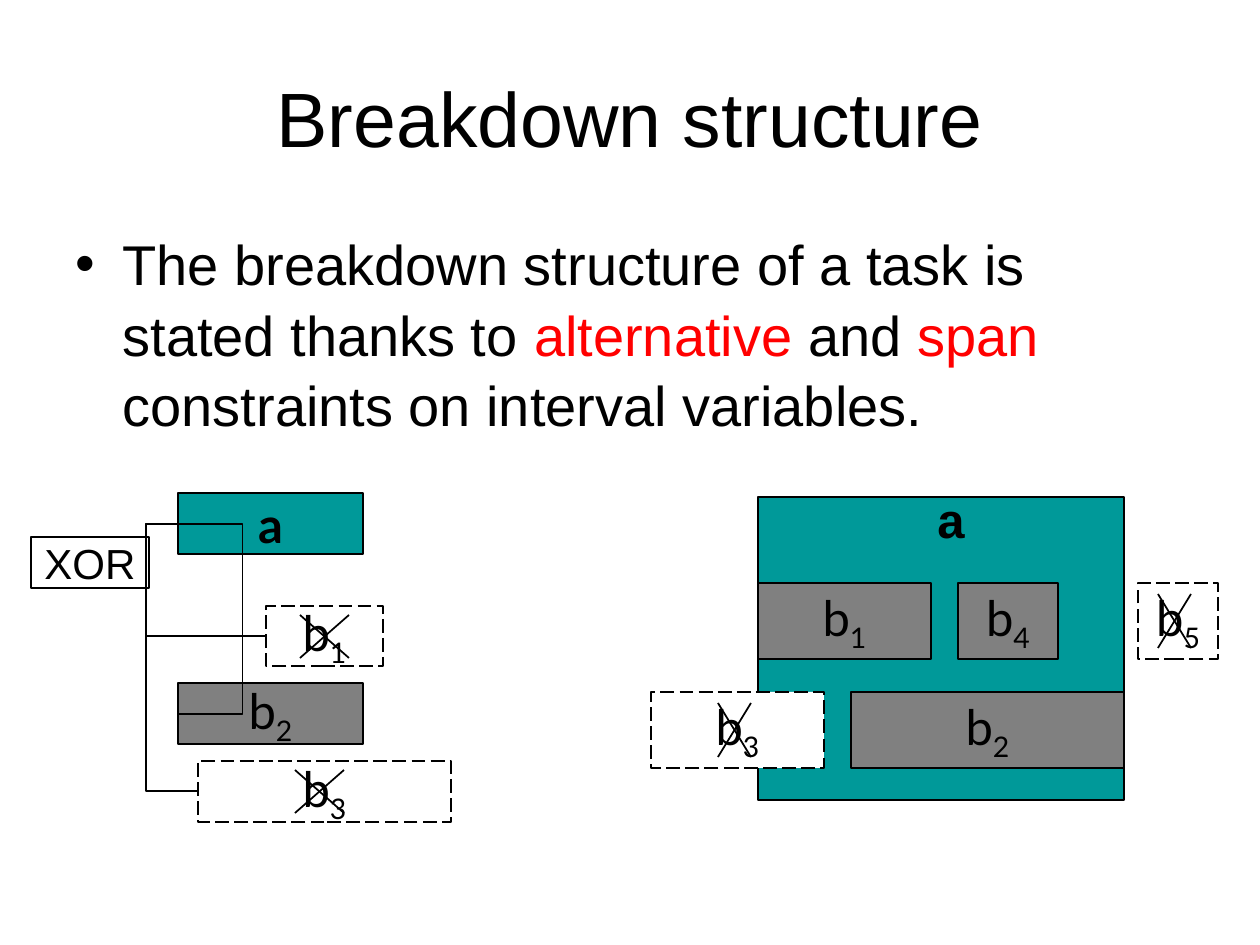
from dataclasses import dataclass

from lxml import etree
from pptx import Presentation, util as u
from pptx.dml.color import RGBColor
from pptx.enum import dml, shapes, text
from pptx.oxml.ns import qn


@dataclass(frozen=True)
class Theme:
    """Colours, fonts and type sizes of the slide."""
    ink: str = "000000"
    accent: str = "FF0000"
    task: str = "009999"
    chosen: str = "808080"
    absent: str = "FFFFFF"
    sans: str = "Arial"
    label: str = "Lato"
    title_size: int = 44
    body_size: int = 32
    label_size: int = 28
    xor_size: int = 24
    line_width: int = 1


THEME = Theme()


def px(length):
    """Turn pixels into EMU at 126 pixels to the inch."""
    return u.Inches(length / 126)


def add_run(paragraph, words, size, font=THEME.sans, color=THEME.ink, bold=False, subscript=False):
    """Append one formatted run."""
    run = paragraph.add_run()
    run.text = words
    run.font.size = u.Pt(size)
    run.font.name = font
    run.font.bold = bold
    run.font.color.rgb = RGBColor.from_string(color)
    if subscript:
        run._r.get_or_add_rPr().set("baseline", "-25000")


def place(shape, left, top, width, height):
    """Move and size a placeholder."""
    shape.left, shape.top, shape.width, shape.height = map(px, (left, top, width, height))


def fill_title(title):
    """Write the slide title."""
    place(title, 63, 38, 1134, 157)
    frame = title.text_frame
    frame.vertical_anchor = text.MSO_ANCHOR.MIDDLE
    frame.paragraphs[0].alignment = text.PP_ALIGN.CENTER
    add_run(frame.paragraphs[0], "Breakdown structure", THEME.title_size)


def fill_body(body):
    """Write the bulleted statement with its highlighted constraints."""
    place(body, 63, 220, 1134, 624)
    body.text_frame.auto_size = text.MSO_AUTO_SIZE.NONE
    statement = body.text_frame.paragraphs[0]
    props = statement._p.get_or_add_pPr()
    props.set("marL", str(px(47)))
    props.set("indent", str(-px(47)))
    etree.SubElement(props, qn("a:buFont")).set("typeface", THEME.sans)
    etree.SubElement(props, qn("a:buChar")).set("char", "•")
    statement.space_before = u.Pt(0)
    statement.line_spacing = 1.05
    for words, color in (
        ("The breakdown structure of a task is stated thanks to ", THEME.ink),
        ("alternative", THEME.accent),
        (" and ", THEME.ink),
        ("span", THEME.accent),
        (" constraints on interval variables.", THEME.ink),
    ):
        add_run(statement, words, THEME.body_size, color=color)


def draw_line(line):
    """Give an outline or connector the common ink and width."""
    line.color.rgb = RGBColor.from_string(THEME.ink)
    line.width = u.Pt(THEME.line_width)


def add_box(diagram, bounds, fill):
    """Add an outlined rectangle and return it."""
    box = diagram.shapes.add_shape(shapes.MSO_SHAPE.RECTANGLE, *map(px, bounds))
    box.shadow.inherit = False
    box.fill.solid()
    box.fill.fore_color.rgb = RGBColor.from_string(fill)
    draw_line(box.line)
    return box


def centred_paragraph(box):
    """Return the box's first paragraph, centred both ways."""
    frame = box.text_frame
    frame.word_wrap = False
    frame.vertical_anchor = text.MSO_ANCHOR.MIDDLE
    frame.paragraphs[0].alignment = text.PP_ALIGN.CENTER
    return frame.paragraphs[0]


def add_interval(diagram, index, bounds, fill):
    """Add an interval b with its index, dashed when absent."""
    interval = add_box(diagram, bounds, fill)
    if fill == THEME.absent:
        interval.line.dash_style = dml.MSO_LINE.LONG_DASH
    name = centred_paragraph(interval)
    add_run(name, "b", THEME.label_size, THEME.label)
    add_run(name, index, THEME.label_size, THEME.label, subscript=True)


def add_link(diagram, kind, start, end):
    """Add a plain connector without shadow."""
    link = diagram.shapes.add_connector(kind, *map(px, (*start, *end)))
    draw_line(link.line)
    etree.SubElement(link._element.spPr, qn("a:effectLst"))
    return link


def add_elbow(diagram, start, end, spine):
    """Add a bent connector whose upright part stands at x = spine."""
    elbow = add_link(diagram, shapes.MSO_CONNECTOR.ELBOW, start, end)
    ratio = round((spine - start[0]) / (end[0] - start[0]) * 100000)
    guides = elbow._element.spPr.find(qn("a:prstGeom")).get_or_add_avLst()
    guide = etree.SubElement(guides, qn("a:gd"))
    guide.set("name", "adj1")
    guide.set("fmla", f"val {ratio}")


def add_cross(diagram, left, top, width, height):
    """Cross out an absent interval."""
    right, bottom = left + width, top + height
    for start, end in (((left, top), (right, bottom)), ((right, top), (left, bottom))):
        add_link(diagram, shapes.MSO_CONNECTOR.STRAIGHT, start, end)


def add_alternative(slide):
    """Draw task a as an exclusive choice between intervals."""
    diagram = slide.shapes.add_group_shape()
    add_interval(diagram, "2", (178, 683, 185, 61), THEME.chosen)
    add_interval(diagram, "3", (198, 761, 253, 61), THEME.absent)
    add_cross(diagram, 295, 770, 49, 43)
    task = add_box(diagram, (178, 493, 185, 61), THEME.task)
    add_run(centred_paragraph(task), "a", THEME.label_size, THEME.label, bold=True)
    xor = add_box(diagram, (31, 537, 118, 51), THEME.absent)
    add_run(centred_paragraph(xor), "XOR", THEME.xor_size)
    for end, spine in (((266, 636), 146), ((179, 714), 243), ((198, 791), 146)):
        add_elbow(diagram, (178, 524), end, spine)
    add_interval(diagram, "1", (266, 606, 117, 60), THEME.absent)
    add_cross(diagram, 300, 615, 49, 43)


def add_span(slide):
    """Draw task a spanning its present intervals."""
    diagram = slide.shapes.add_group_shape()
    add_box(diagram, (758, 497, 366, 303), THEME.task)
    upper, lower, height = 583, 692, 76
    for index, left, top, width, fill in (
        ("1", 758, upper, 173, THEME.chosen),
        ("4", 958, upper, 100, THEME.chosen),
        ("3", 651, lower, 173, THEME.absent),
        ("5", 1138, upper, 80, THEME.absent),
        ("2", 851, lower, 273, THEME.chosen),
    ):
        add_interval(diagram, index, (left, top, width, height), fill)
    task = diagram.shapes.add_textbox(*map(px, (925, 483, 34, 72)))
    task.text_frame.word_wrap = True
    name = task.text_frame.paragraphs[0]
    name.alignment = text.PP_ALIGN.CENTER
    add_run(name, "a", THEME.label_size, bold=True)
    for left, top in ((718, lower + 11), (1158, upper + 11)):
        add_cross(diagram, left, top, 33, 54)


def main():
    """Build and save the slide."""
    deck = Presentation()
    deck.slide_width, deck.slide_height = px(1260), px(945)
    slide = deck.slides.add_slide(deck.slide_layouts[1])
    fill_title(slide.shapes.title)
    fill_body(slide.placeholders[1])
    add_alternative(slide)
    add_span(slide)
    deck.save("out.pptx")


if __name__ == "__main__":
    main()
